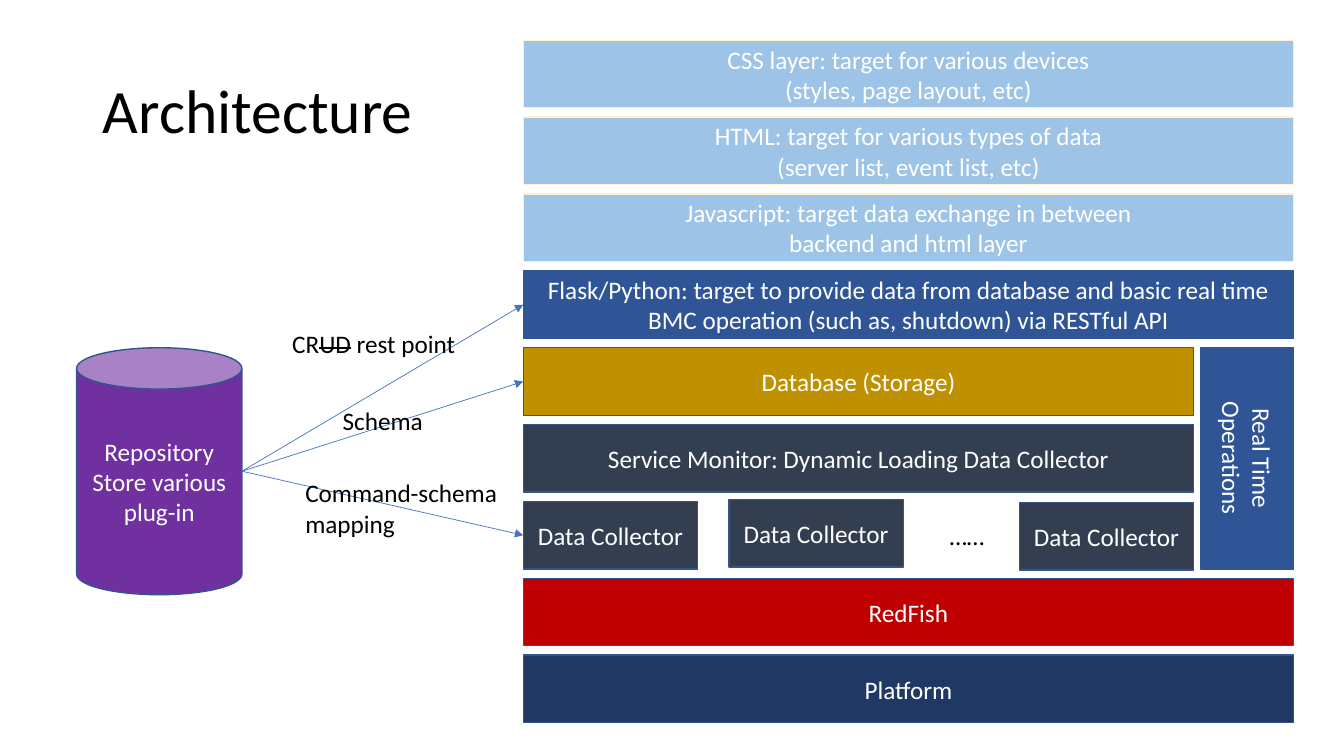
from dataclasses import dataclass

from lxml.etree import SubElement
from pptx import Presentation
from pptx.dml.color import RGBColor
from pptx.enum.shapes import MSO_CONNECTOR as Connector, MSO_SHAPE as Shape
from pptx.enum.text import MSO_ANCHOR as Anchor, MSO_AUTO_SIZE as AutoSize, PP_ALIGN as Align
from pptx.oxml.ns import qn
from pptx.util import Inches, Pt


@dataclass(frozen=True)
class Theme:
    font: str = "Calibri"
    title_size: float = 44
    body_size: float = 18
    outline_width: float = 1
    arrow_width: float = 0.5
    ink: str = "000000"
    paper: str = "FFFFFF"
    frontend: str = "9DC3E6"
    frontend_edge: str = "FFF2CC"
    backend: str = "2F5597"
    storage: str = "BF9000"
    service: str = "333F50"
    redfish: str = "C00000"
    platform: str = "203864"
    repository: str = "7030A0"
    edge: str = "325491"
    arrow: str = "4472C4"


THEME = Theme()
STACK_LEFT, STACK_TOP = 5.19, 0.4
STACK_WIDTH, INNER_WIDTH, COLLECTOR_WIDTH = 7.64, 6.65, 1.73
ROW_PITCH, ROW_HEIGHT = 0.7625, 0.67
REPOSITORY = (0.76, 3.45, 1.64, 2.45)

FRONTEND_LAYERS = [
    "CSS layer: target for various devices\n(styles, page layout, etc)",
    "HTML: target for various types of data\n(server list, event list, etc)",
    "Javascript: target data exchange in between\nbackend and html layer",
]
LAYERS = [
    (3, STACK_WIDTH, THEME.backend,
     "Flask/Python: target to provide data from database and basic real time "
     "BMC operation (such as, shutdown) via RESTful API"),
    (4, INNER_WIDTH, THEME.storage, "Database (Storage)"),
    (5, INNER_WIDTH, THEME.service, "Service Monitor: Dynamic Loading Data Collector"),
    (7, STACK_WIDTH, THEME.redfish, "RedFish"),
    (8, STACK_WIDTH, THEME.platform, "Platform"),
]
COLLECTORS = [(0, 0), (2.04, -0.02), (INNER_WIDTH - COLLECTOR_WIDTH, 0.01)]


def row_top(row):
    return STACK_TOP + row * ROW_PITCH


def row_middle(row):
    return row_top(row) + ROW_HEIGHT / 2


def color(value):
    return RGBColor.from_string(value)


def style_text(frame, size, ink, align):
    for para in frame.paragraphs:
        para.alignment = align
        for span in para.runs:
            span.font.name = THEME.font
            span.font.size = Pt(size)
            span.font.color.rgb = color(ink)


def add_title(slide, text):
    title = slide.shapes.title
    title.left, title.top = Inches(0.92), Inches(0.4)
    title.width, title.height = Inches(11.5), Inches(1.45)
    frame = title.text_frame
    frame.text = text
    frame.auto_size = AutoSize.NONE
    frame.vertical_anchor = Anchor.MIDDLE
    frame.paragraphs[0].line_spacing = 0.9
    style_text(frame, THEME.title_size, THEME.ink, Align.LEFT)


def add_block(slide, bounds, fill, text, edge=THEME.edge, kind=Shape.RECTANGLE):
    block = slide.shapes.add_shape(kind, *map(Inches, bounds))
    block.shadow.inherit = False
    block.fill.solid()
    block.fill.fore_color.rgb = color(fill)
    block.line.color.rgb = color(edge)
    block.line.width = Pt(THEME.outline_width)
    frame = block.text_frame
    frame.word_wrap = True
    frame.vertical_anchor = Anchor.MIDDLE
    frame.text = text
    style_text(frame, THEME.body_size, THEME.paper, Align.CENTER)
    return block


def add_layer(slide, row, width, fill, text, edge=THEME.edge):
    add_block(slide, (STACK_LEFT, row_top(row), width, ROW_HEIGHT), fill, text, edge)


def add_label(slide, bounds, spans, wrap=False):
    box = slide.shapes.add_textbox(*map(Inches, bounds))
    frame = box.text_frame
    frame.word_wrap = wrap
    frame.auto_size = AutoSize.SHAPE_TO_FIT_TEXT
    for text, struck in spans:
        span = frame.paragraphs[0].add_run()
        span.text = text
        if struck:
            span.font._element.set("strike", "sngStrike")
    style_text(frame, THEME.body_size, THEME.ink, Align.LEFT)


def add_arrow(slide, start, end):
    arrow = slide.shapes.add_connector(Connector.STRAIGHT, *map(Inches, start + end))
    arrow.line.color.rgb = color(THEME.arrow)
    arrow.line.width = Pt(THEME.arrow_width)
    SubElement(arrow.line._get_or_add_ln(), qn("a:tailEnd"), type="triangle")
    SubElement(arrow._element.spPr, qn("a:effectLst"))


def add_real_time_block(slide):
    length, thickness = 2.2, 0.92
    center_x = STACK_LEFT + STACK_WIDTH - thickness / 2
    center_y = (row_top(4) + row_top(6) + ROW_HEIGHT) / 2
    bounds = (center_x - length / 2, center_y - thickness / 2, length, thickness)
    block = add_block(slide, bounds, THEME.backend, "Real Time Operations")
    block.rotation = 90


def main():
    deck = Presentation()
    deck.slide_width, deck.slide_height = Inches(13.33), Inches(7.5)
    slide = deck.slides.add_slide(deck.slide_layouts.get_by_name("Title Only"))
    add_title(slide, "Architecture")

    for row, text in enumerate(FRONTEND_LAYERS):
        add_layer(slide, row, STACK_WIDTH, THEME.frontend, text, THEME.frontend_edge)
    for layer in LAYERS:
        add_layer(slide, *layer)
    for offset, nudge in COLLECTORS:
        bounds = (STACK_LEFT + offset, row_top(6) + nudge, COLLECTOR_WIDTH, ROW_HEIGHT)
        add_block(slide, bounds, THEME.service, "Data Collector")
    add_label(slide, (9.32, 5.11, 0.56, 0.4), [("……", False)], wrap=True)

    add_block(slide, REPOSITORY, THEME.repository,
              "Repository\nStore various plug-in", kind=Shape.CAN)
    left, top, width, height = REPOSITORY
    for row in (3, 6, 4):
        add_arrow(slide, (left + width, top + height / 2), (STACK_LEFT, row_middle(row)))

    add_label(slide, (3.3, 3.97, 1.01, 0.4), [("Schema", False)])
    add_label(slide, (2.93, 4.69, 2.26, 0.71), [("Command-schema mapping", False)], wrap=True)
    add_label(slide, (2.8, 3.21, 1.84, 0.4),
              [("CR", False), ("UD", True), (" rest point", False)])
    add_real_time_block(slide)

    deck.save("out.pptx")


if __name__ == "__main__":
    main()
